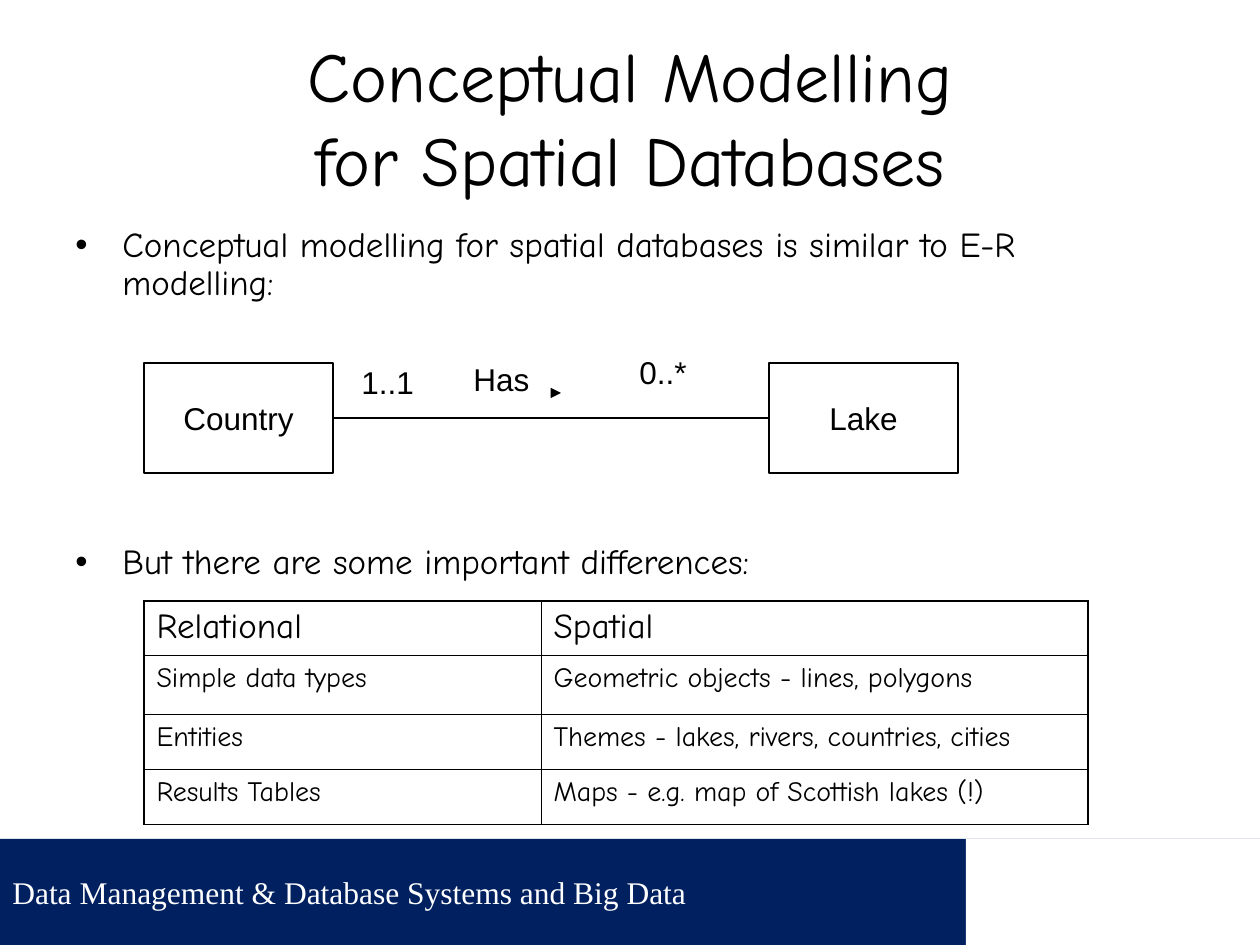
from lxml import etree
from pptx import Presentation, util as u
from pptx.dml.color import RGBColor
from pptx.enum import shapes, text
from pptx.oxml.ns import qn

PX = 914400 / 126
BLACK, WHITE, NAVY = "000000", "FFFFFF", "002060"
COMIC, ARIAL, TIMES = "Comic Neue", "Arial", "Times New Roman"

TITLE = "Conceptual Modelling\vfor Spatial Databases"
BULLETS = [
    ("Conceptual modelling for spatial databases is similar to E-R modelling:", 0),
    ("But there are some important differences:", 138),
]
FOOTER = "Data Management & Database Systems and Big Data"
ENTITIES = [("Country", 144), ("Lake", 769)]
LABELS = [("Has", 461, 354), ("1..1", 349, 357), ("0..*", 627, 347)]
ROWS = [
    ("Relational", "Spatial"),
    ("Simple data types", "Geometric objects - lines, polygons"),
    ("Entities", "Themes - lakes, rivers, countries, cities"),
    ("Results Tables", "Maps - e.g. map of Scottish lakes (!)"),
]
COL_WIDTHS, ROW_HEIGHTS = (397, 547), (54, 59, 55, 55)


def px(*values):
    return [u.Emu(round(v * PX)) for v in values]


def rgb(value):
    return RGBColor.from_string(value)


def style(p, size, face, color=BLACK, align=text.PP_ALIGN.LEFT):
    p.alignment = align
    p.font.size, p.font.name = u.Pt(size), face
    p.font.color.rgb = rgb(color)


def add(parent, tag, **attrs):
    return etree.SubElement(parent, qn(tag), attrs)


def add_rect(s, box, fill, line=None):
    sp = s.shapes.add_shape(shapes.MSO_SHAPE.RECTANGLE, *px(*box))
    sp.shadow.inherit = False
    sp.fill.solid()
    sp.fill.fore_color.rgb = rgb(fill)
    if line:
        sp.line.color.rgb = rgb(line)
        sp.line.width = u.Pt(0.75)
    else:
        sp.line.fill.background()
    sp.text_frame.vertical_anchor = text.MSO_ANCHOR.MIDDLE
    return sp


def add_line(s, x1, y1, x2, y2):
    line = s.shapes.add_connector(shapes.MSO_CONNECTOR.STRAIGHT, *px(x1, y1, x2, y2))
    line.line.color.rgb = rgb(BLACK)
    line.line.width = u.Pt(0.75)
    add(line._element.spPr, "a:effectLst")
    return line


def add_title(s):
    sp = s.shapes.title
    sp.left, sp.top, sp.width, sp.height = px(63, 38, 1134, 157)
    tf = sp.text_frame
    tf.text = TITLE
    tf.auto_size = text.MSO_AUTO_SIZE.NONE
    tf.vertical_anchor = text.MSO_ANCHOR.MIDDLE
    style(tf.paragraphs[0], 40, COMIC, align=text.PP_ALIGN.CENTER)


def add_bullets(s):
    tf = s.shapes.add_textbox(*px(63, 221, 1113, 370)).text_frame
    tf.word_wrap = True
    for i, (words, before) in enumerate(BULLETS):
        p = tf.add_paragraph() if i else tf.paragraphs[0]
        p.text = words
        p.line_spacing, p.space_before = 0.9, u.Pt(before)
        pPr = p._p.get_or_add_pPr()
        indent = px(47)[0]
        pPr.set("marL", str(indent))
        pPr.set("indent", str(-indent))
        add(add(pPr, "a:buClr"), "a:srgbClr", val=BLACK)
        add(pPr, "a:buFont", typeface=ARIAL)
        add(pPr, "a:buChar", char="•")
        style(p, 20, COMIC)


def add_diagram(s):
    boxes = []
    for name, x in ENTITIES:
        sp = add_rect(s, (x, 363, 189, 110), WHITE, BLACK)
        sp.text_frame.word_wrap = False
        sp.text_frame.text = name
        style(sp.text_frame.paragraphs[0], 18, ARIAL, align=text.PP_ALIGN.CENTER)
        boxes.append(sp)
    relation = add_line(s, 333, 418, 769, 418)
    relation.begin_connect(boxes[0], 3)
    relation.end_connect(boxes[1], 1)
    arrow = add_line(s, 551, 393, 561, 393)
    add(arrow.line._get_or_add_ln(), "a:tailEnd", type="triangle")
    for words, x, y in LABELS:
        tf = s.shapes.add_textbox(*px(x, y, 88, 50)).text_frame
        tf.word_wrap = True
        tf.text = words
        style(tf.paragraphs[0], 18, ARIAL)


def add_borders(cell, row, col):
    outer = {"L": col == 0, "R": col == len(COL_WIDTHS) - 1,
             "T": row == 0, "B": row == len(ROWS) - 1}
    tcPr = cell._tc.get_or_add_tcPr()
    for side, is_outer in outer.items():
        width = u.Pt(1.08 if is_outer else 0.45)
        ln = add(tcPr, f"a:ln{side}", w=str(width))
        add(add(ln, "a:solidFill"), "a:srgbClr", val=BLACK)


def add_comparison(s):
    box = px(144, 601, sum(COL_WIDTHS), sum(ROW_HEIGHTS))
    table = s.shapes.add_table(len(ROWS), len(COL_WIDTHS), *box).table
    table.first_row = table.horz_banding = False
    for column, width in zip(table.columns, px(*COL_WIDTHS)):
        column.width = width
    for row, height in zip(table.rows, px(*ROW_HEIGHTS)):
        row.height = height
    for i, row in enumerate(ROWS):
        for j, words in enumerate(row):
            cell = table.cell(i, j)
            cell.text = words
            style(cell.text_frame.paragraphs[0], 16 if i else 20, COMIC)
            add_borders(cell, i, j)
            cell.fill.background()


def add_footer(s):
    sp = add_rect(s, (0, 839, 1260, 106), NAVY)
    sp.text_frame.text = FOOTER
    style(sp.text_frame.paragraphs[0], 18, TIMES, WHITE)
    add_rect(s, (966, 839, 294, 106), WHITE)


def main():
    """Build the slide on conceptual modelling for spatial databases."""
    prs = Presentation()
    prs.slide_width, prs.slide_height = px(1260, 945)
    s = prs.slides.add_slide(prs.slide_layouts[5])
    add_footer(s)
    add_title(s)
    add_bullets(s)
    add_diagram(s)
    add_comparison(s)
    prs.save("out.pptx")


if __name__ == "__main__":
    main()
